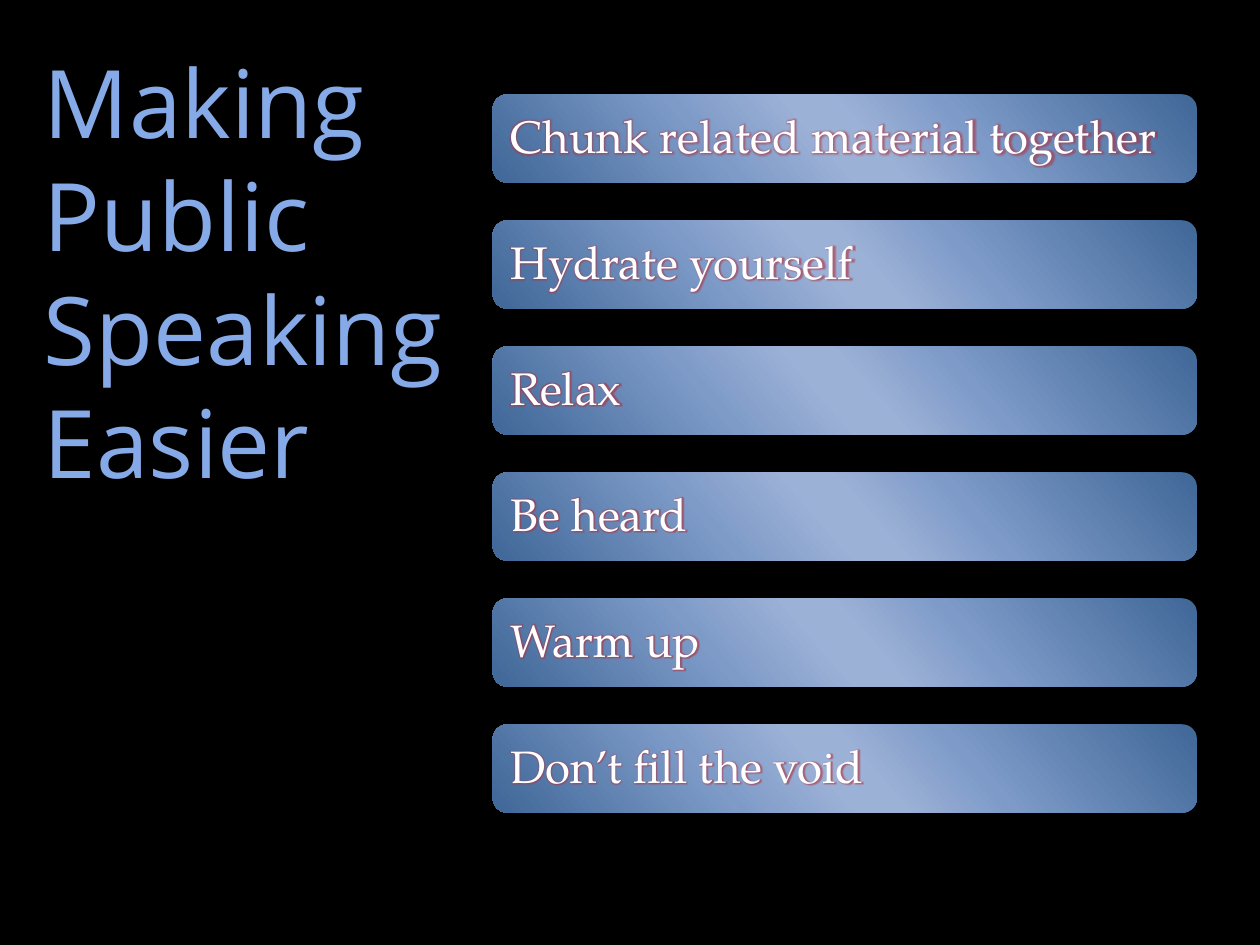
from pptx import Presentation
from pptx.dml.color import RGBColor as RGB
from pptx.enum.shapes import MSO_SHAPE as Shape
from pptx.enum.text import MSO_ANCHOR as Anchor
from pptx.oxml import parse_xml as to_xml
from pptx.oxml.ns import nsdecls
from pptx.util import Pt

NS = nsdecls("a")
TIPS = ["Chunk related material together", "Hydrate yourself", "Relax",
        "Be heard", "Warm up", "Don’t fill the void"]
STOPS = [(0, "3F6797"), (33, "7D9AC8"), (47, "9CB1D6"),
         (53, "9CB1D6"), (68, "7E9BC8"), (100, "3F6797")]


def color(code):
    return RGB.from_string(code)


def add_text(box, words, face, size, code, **form):
    """Add one text box and return its run."""
    frame = slide.shapes.add_textbox(*map(Pt, box)).text_frame
    for name, value in {"word_wrap": True, **form}.items():
        setattr(frame, name, value)
    run = frame.paragraphs[0].add_run()
    run.text = words
    for name, value in {"name": face, "size": Pt(size)}.items():
        setattr(run.font, name, value)
    run.font.color.rgb = color(code)
    return frame.paragraphs[0], run


# Slide
deck = Presentation()
deck.slide_width, deck.slide_height = Pt(720), Pt(540)
slide = deck.slides.add_slide(deck.slide_layouts[6])
back = slide.background.fill
back.solid()
back.fore_color.rgb = color("000000")

# Title
add_text((18, 21.6, 254.9, 284.4), "Making Public Speaking Easier",
         "Open Sans", 54, "86AAE7")

# Bars with tips
left, top, wide, high, step, pad = 281.5, 54, 402.5, 50.4, 72, 2.4
inset = {"margin_" + side: Pt(7.9) for side in ("left", "top", "right", "bottom")}
marks = "".join(f'<a:gs pos="{at * 1000}"><a:srgbClr val="{code}"/></a:gs>'
                for at, code in STOPS)
for row, tip in enumerate(TIPS):
    y = top + row * step
    bar = slide.shapes.add_shape(Shape.ROUNDED_RECTANGLE,
                                 *map(Pt, (left, y, wide, high)))
    bar.line.fill.background()
    bar.shadow.inherit = False

    # Slanted gradient, placed right after the outline shape
    bar._element.spPr.insert(2, to_xml(
        f'<a:gradFill {NS} rotWithShape="1"><a:gsLst>{marks}</a:gsLst>'
        f'<a:lin ang="{139 * 60000}" scaled="0"/></a:gradFill>'))

    # Soft shadow
    bar._element.spPr.find("{*}effectLst").append(to_xml(
        f'<a:outerShdw {NS} blurRad="{Pt(26)}" dist="{Pt(15)}" dir="{18 * 60000}">'
        '<a:srgbClr val="000000"><a:alpha val="45000"/></a:srgbClr></a:outerShdw>'))

    line, run = add_text(
        (left + pad, y + pad, wide - 2 * pad, high - 2 * pad), tip,
        "TeX Gyre Pagella", 26, "FFFFFF", vertical_anchor=Anchor.MIDDLE, **inset)
    line.line_spacing = 0.9

    # Red glow around the letters
    run.font._element.find("{*}solidFill").addnext(to_xml(
        f'<a:effectLst {NS}><a:glow rad="{Pt(3)}"><a:srgbClr val="B03040">'
        '<a:alpha val="60000"/></a:srgbClr></a:glow></a:effectLst>'))

deck.save("out.pptx")
